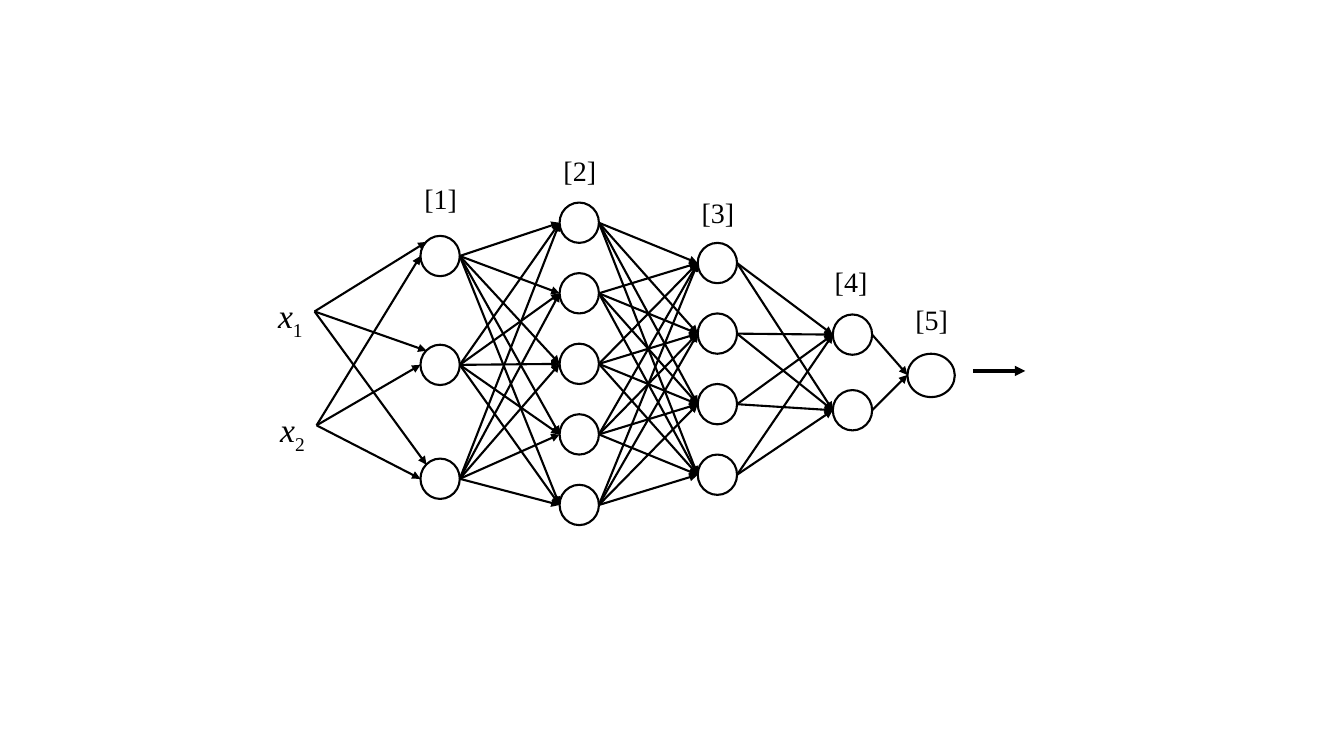
from itertools import product

from lxml import etree
from pptx import Presentation
from pptx.dml.color import RGBColor
from pptx.enum.shapes import MSO_CONNECTOR, MSO_SHAPE
from pptx.oxml.ns import qn
from pptx.util import Emu, Pt

OVAL = MSO_SHAPE.OVAL
STRAIGHT = MSO_CONNECTOR.STRAIGHT
EMU_PER_PX = 9144  # 100 px to the inch
BLACK = "000000"
FONT = "Times New Roman"
NODE_WIDTH, NODE_HEIGHT = 39, 40
CORNER_INSET = 6

# Left edge and top edges of the neurons in each hidden layer
HIDDEN_LAYERS = [
    (417, [234, 342, 455]),
    (555, [201 + 70 * row for row in range(5)]),
    (692, [241 + 70 * row for row in range(4)]),
    (826, [312, 387]),
]
OUTPUT_NEURON = (900, 351, 47, 43)
LAYER_LABELS = [(411, 175), (549, 147), (686, 189), (818, 258), (898, 295)]
INPUT_LABELS = [(266, 288), (268, 401)]
INPUT_POINTS = [(312, 309), (314, 422)]


def px(length):
    return Emu(length * EMU_PER_PX)


def color(hex_string):
    return RGBColor.from_string(hex_string)


def add_neuron(slide, left, top, width=NODE_WIDTH, height=NODE_HEIGHT):
    shape = slide.shapes.add_shape(OVAL, px(left), px(top), px(width), px(height))
    shape.shadow.inherit = False
    shape.fill.background()
    shape.line.color.rgb = color(BLACK)
    shape.line.width = Pt(1.5)


def add_arrow(slide, start, end, weight=1.5):
    connector = slide.shapes.add_connector(
        STRAIGHT, px(start[0]), px(start[1]), px(end[0]), px(end[1]))
    connector.line.color.rgb = color(BLACK)
    connector.line.width = Pt(weight)
    line = connector.line._get_or_add_ln()
    etree.SubElement(line, qn("a:tailEnd"), type="triangle")
    etree.SubElement(connector._element.spPr, qn("a:effectLst"))


def add_label(slide, left, top, width, height, size, text, subscript=None):
    """Add text, set in italics when a subscript follows it."""
    box = slide.shapes.add_textbox(px(left), px(top), px(width), px(height))
    box.text_frame.word_wrap = True
    paragraph = box.text_frame.paragraphs[0]
    for content in filter(None, (text, subscript)):
        run = paragraph.add_run()
        run.text = content
        run.font.name = FONT
        run.font.size = Pt(size)
        run.font.color.rgb = color(BLACK)
    if subscript:
        paragraph.runs[0].font.italic = True
        run.font._element.set("baseline", "-25000")


def left_points(left, tops):
    return [(left, top + NODE_HEIGHT // 2) for top in tops]


def right_points(left, tops):
    return left_points(left + NODE_WIDTH, tops)


def connect_all(slide, starts, ends):
    for start, end in product(starts, ends):
        add_arrow(slide, start, end)


def add_inputs(slide):
    for number, (left, top) in enumerate(INPUT_LABELS, 1):
        add_label(slide, left, top, 47, 42, 24, "x", str(number))
    first_left, first_tops = HIDDEN_LAYERS[0]
    upper_left_points = [
        (first_left + CORNER_INSET, top + CORNER_INSET) for top in first_tops]
    connect_all(slide, INPUT_POINTS[:1], upper_left_points)
    connect_all(slide, INPUT_POINTS[1:], left_points(first_left, first_tops))


def add_hidden_layers(slide):
    for left, tops in HIDDEN_LAYERS:
        for top in tops:
            add_neuron(slide, left, top)
    for source, target in zip(HIDDEN_LAYERS, HIDDEN_LAYERS[1:]):
        connect_all(slide, right_points(*source), left_points(*target))


def add_output(slide):
    left, top, _, height = OUTPUT_NEURON
    add_neuron(slide, *OUTPUT_NEURON)
    connect_all(slide, right_points(*HIDDEN_LAYERS[-1]), [(left, top + height // 2)])
    add_arrow(slide, (965, 368), (1017, 368), weight=2.5)


def main():
    presentation = Presentation()
    presentation.slide_width, presentation.slide_height = px(1333), px(750)
    slide = presentation.slides.add_slide(presentation.slide_layouts[6])
    add_inputs(slide)
    add_hidden_layers(slide)
    add_output(slide)
    for number, (left, top) in enumerate(LAYER_LABELS, 1):
        add_label(slide, left, top, 65, 44, 20, f"[{number}]")
    presentation.save("out.pptx")


if __name__ == "__main__":
    main()
